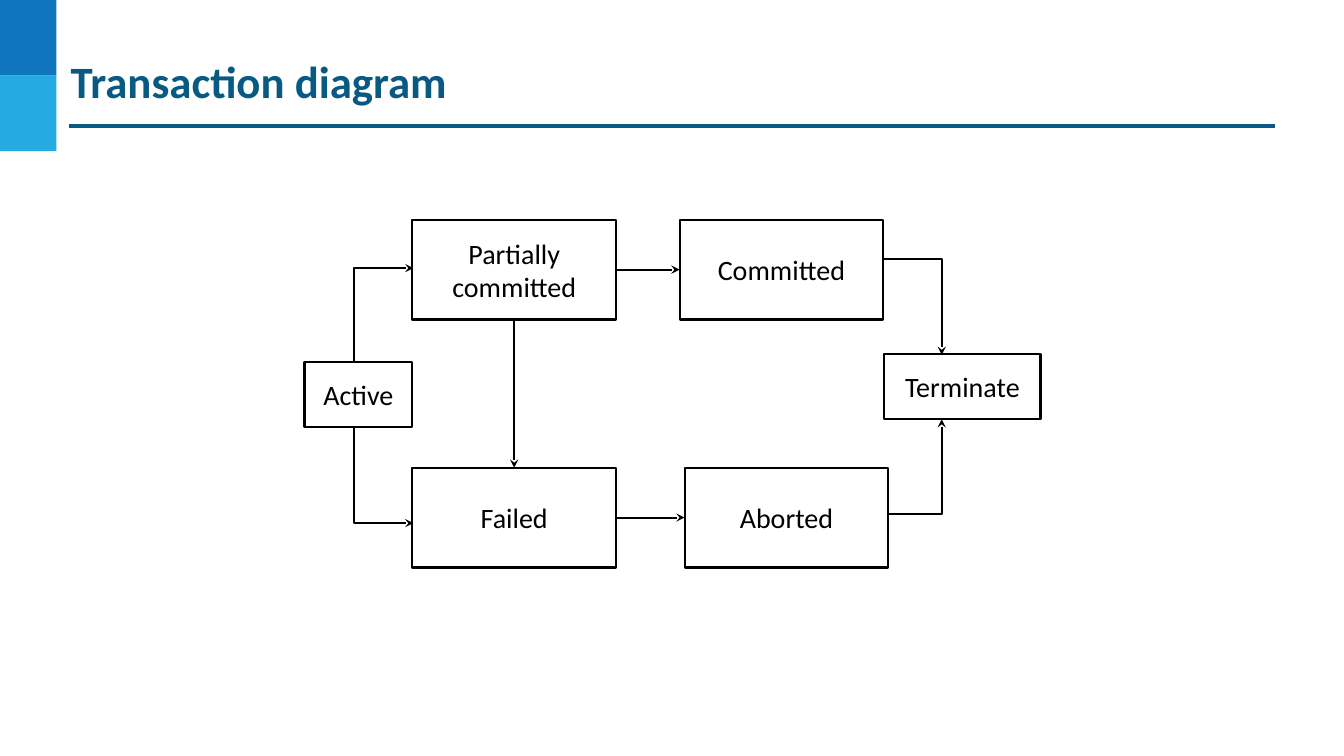
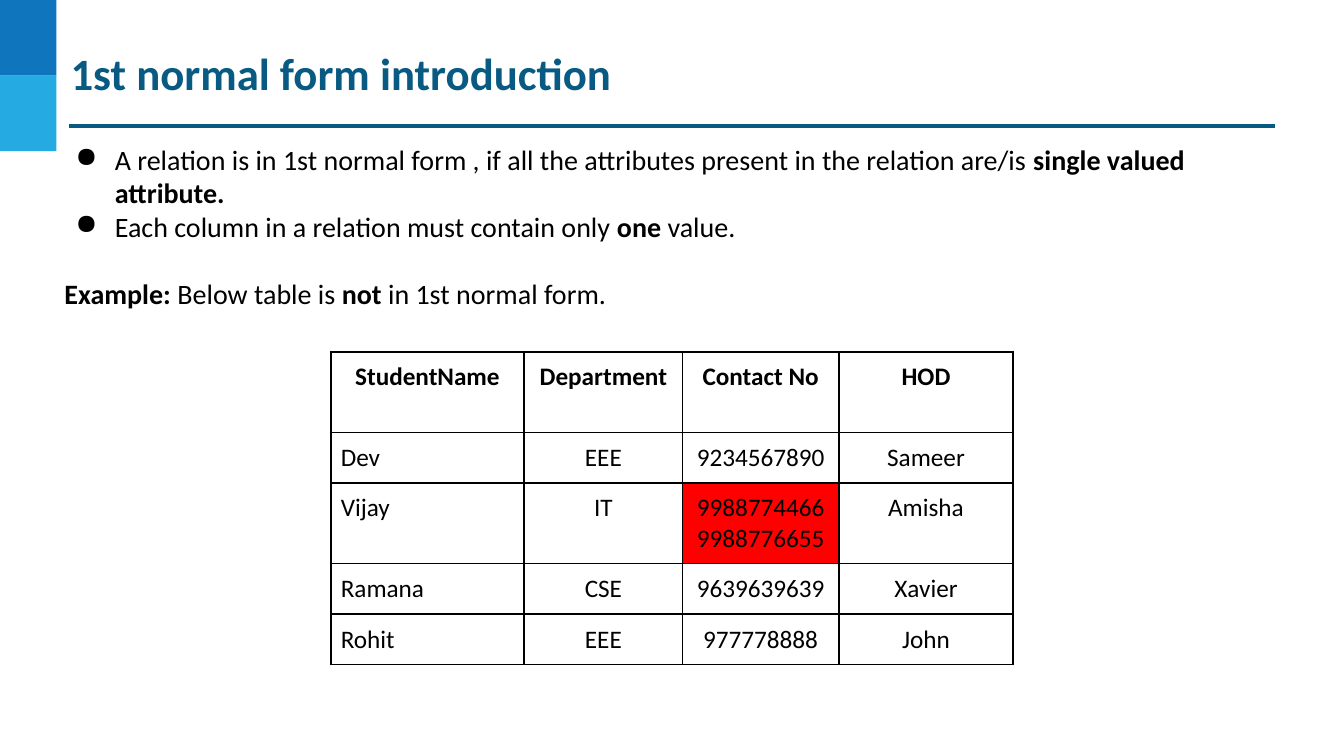
from dataclasses import dataclass

import lxml.etree
import pptx
import pptx.dml.color
import pptx.enum.shapes
import pptx.enum.text
import pptx.oxml.ns
import pptx.util

Inches = pptx.util.Inches
Color = pptx.dml.color.RGBColor
ALIGN = pptx.enum.text.PP_ALIGN
ANCHOR = pptx.enum.text.MSO_ANCHOR
RECTANGLE = pptx.enum.shapes.MSO_SHAPE.RECTANGLE
qn = pptx.oxml.ns.qn


@dataclass(frozen=True)
class Theme:
    font: str = "Calibri"
    title_color: Color = Color(0x09, 0x5A, 0x82)
    dark_band: Color = Color(0x0F, 0x75, 0xBD)
    light_band: Color = Color(0x25, 0xAA, 0xE2)
    ink: Color = Color(0, 0, 0)
    paper: Color = Color(255, 255, 255)
    highlight: Color = Color(255, 0, 0)
    title_size: int = 32
    body_size: int = 20
    table_size: int = 18
    line_width: float = 1.5
    rule_width: float = 2.25


THEME = Theme()


@dataclass(frozen=True)
class Run:
    text: str
    bold: bool = False


@dataclass(frozen=True)
class Paragraph:
    runs: tuple[Run, ...]
    bullet: bool = False
    space_before: float = 0


@dataclass(frozen=True)
class State:
    name: str
    left: float
    top: float
    width: float = 2.02
    height: float = 0.99


@dataclass(frozen=True)
class Link:
    source: str
    source_side: int
    target: str
    target_side: int


# Text
def plain(text: str, bold: bool = False) -> list[Paragraph]:
    return [Paragraph((Run(line, bold),)) for line in text.split("\n")]


def add_bullet(paragraph) -> None:
    properties = paragraph._p.get_or_add_pPr()
    properties.set("marL", str(Inches(0.5)))
    properties.set("indent", str(Inches(-0.39)))
    lxml.etree.SubElement(properties, qn("a:buChar")).set("char", "●")


def write_text(frame, paragraphs: list[Paragraph], *, size: float, color: Color = THEME.ink,
               align=ALIGN.LEFT, anchor=ANCHOR.TOP, margin: float = 0.1) -> None:
    frame.word_wrap = True
    frame.vertical_anchor = anchor
    frame.margin_left = frame.margin_right = Inches(margin)
    frame.margin_top = frame.margin_bottom = Inches(margin)
    for index, content in enumerate(paragraphs):
        paragraph = frame.paragraphs[0] if index == 0 else frame.add_paragraph()
        paragraph.alignment = align
        if content.space_before:
            paragraph.space_before = pptx.util.Pt(content.space_before)
        if content.bullet:
            add_bullet(paragraph)
        for piece in content.runs:
            run = paragraph.add_run()
            run.text = piece.text
            run.font.name = THEME.font
            run.font.size = pptx.util.Pt(size)
            run.font.bold = piece.bold
            run.font.color.rgb = color


# Shapes and lines
def add_rectangle(slide, left: float, top: float, width: float, height: float,
                  fill: Color, outlined: bool = False):
    shape = slide.shapes.add_shape(
        RECTANGLE, Inches(left), Inches(top), Inches(width), Inches(height))
    shape.shadow.inherit = False
    shape.fill.solid()
    shape.fill.fore_color.rgb = fill
    if outlined:
        style_line(shape)
    else:
        shape.line.fill.background()
    return shape


def style_line(shape, color: Color = THEME.ink, width: float = THEME.line_width,
               arrow: bool = False) -> None:
    shape.line.color.rgb = color
    shape.line.width = pptx.util.Pt(width)
    if arrow:
        line = shape._element.spPr.find(qn("a:ln"))
        lxml.etree.SubElement(line, qn("a:tailEnd")).set("type", "stealth")


def add_straight(slide, start: tuple[float, float], end: tuple[float, float], **style):
    connector = slide.shapes.add_connector(
        pptx.enum.shapes.MSO_CONNECTOR.STRAIGHT, *map(Inches, start + end))
    style_line(connector, **style)
    lxml.etree.SubElement(connector._element.spPr, qn("a:effectLst"))
    return connector


def add_bent_arrow(slide, points: list[tuple[float, float]]) -> None:
    start, *rest = [(Inches(x), Inches(y)) for x, y in points]
    builder = slide.shapes.build_freeform(*start)
    builder.add_line_segments(rest, close=False)
    shape = builder.convert_to_shape()
    shape.shadow.inherit = False
    shape.fill.background()
    style_line(shape, arrow=True)


# Parts that every slide has
def add_titled_slide(presentation, title: str, title_top: float):
    slide = presentation.slides.add_slide(presentation.slide_layouts[6])
    for index, color in enumerate((THEME.dark_band, THEME.light_band)):
        add_rectangle(slide, 0, 0.75 * index, 0.56, 0.75, color)
    add_straight(slide, (0.68, 1.25), (12.65, 1.25),
                 color=THEME.title_color, width=THEME.rule_width)
    box = slide.shapes.add_textbox(
        Inches(0.68), Inches(title_top), Inches(11.97), Inches(0.58))
    write_text(box.text_frame, plain(title, bold=True), size=THEME.title_size,
               color=THEME.title_color, margin=0.02)
    return slide


# Transaction diagram
STATES = [
    State("Partially committed", 4.09, 2.18),
    State("Aborted", 6.79, 4.64),
    State("Failed", 4.09, 4.64),
    State("Committed", 6.74, 2.18),
    State("Active", 3.02, 3.59, 1.07, 0.65),
    State("Terminate", 8.77, 3.51, 1.55, 0.65),
]
LINKS = [
    Link("Partially committed", 3, "Committed", 1),
    Link("Failed", 3, "Aborted", 1),
    Link("Partially committed", 2, "Failed", 0),
]
BENT_ARROWS = [
    [(3.51, 3.6), (3.51, 2.66), (4.1, 2.66)],
    [(3.51, 4.24), (3.51, 5.19), (4.1, 5.19)],
    [(8.75, 2.57), (9.34, 2.57), (9.34, 3.52)],
    [(8.8, 5.1), (9.34, 5.1), (9.34, 4.16)],
]


def build_diagram_slide(presentation) -> None:
    slide = add_titled_slide(presentation, "Transaction diagram", 0.51)
    boxes = {}
    for state in STATES:
        box = add_rectangle(slide, state.left, state.top, state.width, state.height,
                            THEME.paper, outlined=True)
        write_text(box.text_frame, plain(state.name), size=THEME.body_size,
                   align=ALIGN.CENTER, anchor=ANCHOR.MIDDLE)
        boxes[state.name] = box
    for points in BENT_ARROWS:
        add_bent_arrow(slide, points)
    for link in LINKS:
        connector = add_straight(slide, (0, 0), (0, 0), arrow=True)
        connector.begin_connect(boxes[link.source], link.source_side)
        connector.end_connect(boxes[link.target], link.target_side)


# First normal form
EXPLANATION = [
    Paragraph((Run("A relation is in 1st normal form , if all the attributes present "
                   "in the relation are/is "),
               Run("single valued attribute.", True)), bullet=True),
    Paragraph((Run("Each column in a relation must contain only "), Run("one ", True),
               Run("value.")), bullet=True),
    Paragraph((Run("Example:", True), Run(" Below table is "), Run("not ", True),
               Run("in 1st normal form.")), space_before=24),
]
STUDENTS = [
    ("StudentName", "Department", "Contact No", "HOD"),
    ("Dev", "EEE", "9234567890", "Sameer"),
    ("Vijay", "IT", "9988774466\n9988776655", "Amisha"),
    ("Ramana", "CSE", "9639639639", "Xavier"),
    ("Rohit", "EEE", "977778888", "John"),
]
COLUMN_WIDTHS = [1.92, 1.57, 1.55, 1.73]
ROW_HEIGHTS = [0.8, 0.5, 0.8, 0.5, 0.5]


def add_borders(cell) -> None:
    properties = cell._tc.get_or_add_tcPr()
    for side in ("a:lnL", "a:lnR", "a:lnT", "a:lnB"):
        line = lxml.etree.SubElement(properties, qn(side))
        line.set("w", str(pptx.util.Pt(THEME.line_width)))
        fill = lxml.etree.SubElement(line, qn("a:solidFill"))
        lxml.etree.SubElement(fill, qn("a:srgbClr")).set("val", str(THEME.ink))


def add_student_table(slide) -> None:
    table = slide.shapes.add_table(
        len(STUDENTS), len(COLUMN_WIDTHS), Inches(3.28), Inches(3.49),
        Inches(sum(COLUMN_WIDTHS)), Inches(sum(ROW_HEIGHTS))).table
    table.horz_banding = False
    for column, width in zip(table.columns, COLUMN_WIDTHS):
        column.width = Inches(width)
    for row, height in zip(table.rows, ROW_HEIGHTS):
        row.height = Inches(height)
    for row_index, values in enumerate(STUDENTS):
        for column_index, value in enumerate(values):
            cell = table.cell(row_index, column_index)
            header = row_index == 0
            add_borders(cell)
            cell.fill.solid()
            cell.fill.fore_color.rgb = THEME.highlight if "\n" in value else THEME.paper
            cell.margin_left = cell.margin_right = Inches(0.1)
            cell.margin_top = cell.margin_bottom = Inches(0.1)
            write_text(cell.text_frame, plain(value, bold=header), size=THEME.table_size,
                       align=ALIGN.CENTER if header or column_index else ALIGN.LEFT)
            # Cell layout belongs to the cell, not to its text body
            body = cell.text_frame._txBody.find(qn("a:bodyPr"))
            body.attrib.clear()


def build_normal_form_slide(presentation) -> None:
    slide = add_titled_slide(presentation, "1st normal form introduction", 0.43)
    box = slide.shapes.add_textbox(Inches(0.54), Inches(1.31), Inches(12.12), Inches(1.89))
    write_text(box.text_frame, EXPLANATION, size=THEME.body_size)
    add_student_table(slide)


def main() -> None:
    presentation = pptx.Presentation()
    presentation.slide_width = Inches(13.33)
    presentation.slide_height = Inches(7.5)
    build_diagram_slide(presentation)
    build_normal_form_slide(presentation)
    presentation.save("out.pptx")


if __name__ == "__main__":
    main()
